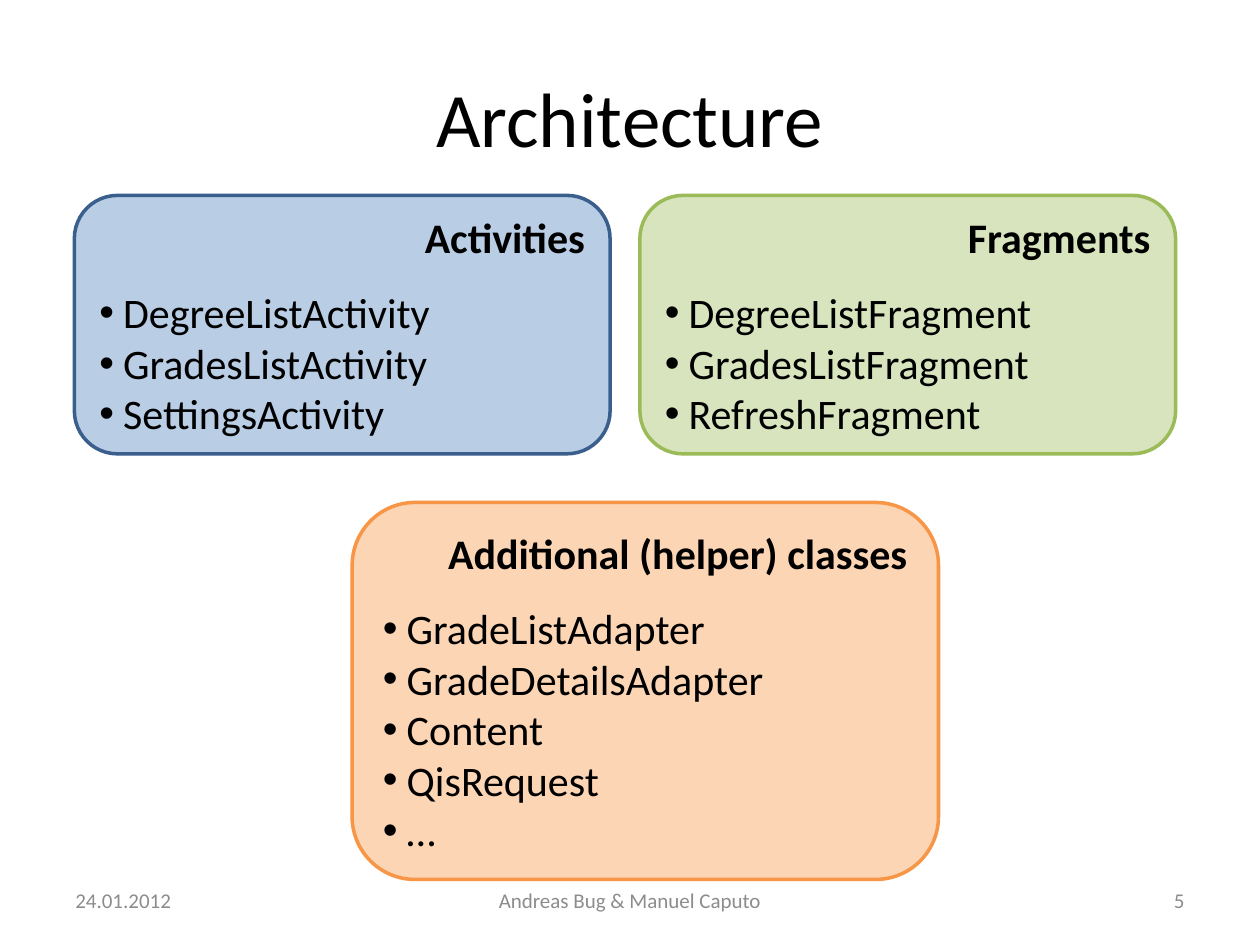
from dataclasses import dataclass

from lxml import etree
from pptx import Presentation
from pptx.dml.color import RGBColor
from pptx.enum.shapes import MSO_SHAPE
from pptx.enum.text import MSO_ANCHOR, PP_ALIGN
from pptx.oxml.ns import qn
from pptx.util import Cm, Pt

ROUNDED = MSO_SHAPE.ROUNDED_RECTANGLE
MIDDLE = MSO_ANCHOR.MIDDLE
LEFT, CENTER, RIGHT = PP_ALIGN.LEFT, PP_ALIGN.CENTER, PP_ALIGN.RIGHT


@dataclass(frozen=True)
class Theme:
    font: str = "Calibri"
    bullet_font: str = "Arial"
    text: str = "000000"
    muted: str = "8C8C8C"
    blue: tuple[str, str] = ("B9CDE5", "3A5F8C")
    green: tuple[str, str] = ("D7E4BD", "9BBB59")
    orange: tuple[str, str] = ("FCD5B5", "F79646")
    title_size: int = 44
    body_size: int = 24
    footer_size: int = 12
    heading_gap: float = 14.5
    line_width: int = 2


@dataclass(frozen=True)
class Area:
    left: float
    top: float
    width: float
    height: float

    def lengths(self) -> tuple:
        return Cm(self.left), Cm(self.top), Cm(self.width), Cm(self.height)


@dataclass(frozen=True)
class ClassGroup:
    heading: str
    classes: tuple[str, ...]
    area: Area
    colors: tuple[str, str]


@dataclass(frozen=True)
class FooterItem:
    text: str
    left: float
    width: float
    align: PP_ALIGN


THEME = Theme()
TITLE_AREA = Area(1.27, 0.76, 22.86, 3.18)
BULLET_INDENT = Cm(0.48)
FOOTER_TOP, FOOTER_HEIGHT = 17.65, 1.01
GROUP_TOP, GROUP_WIDTH, GROUP_HEIGHT = 3.94, 10.8, 5.21

GROUPS = (
    ClassGroup(
        "Activities",
        ("DegreeListActivity", "GradesListActivity", "SettingsActivity"),
        Area(1.5, GROUP_TOP, GROUP_WIDTH, GROUP_HEIGHT),
        THEME.blue,
    ),
    ClassGroup(
        "Fragments",
        ("DegreeListFragment", "GradesListFragment", "RefreshFragment"),
        Area(12.9, GROUP_TOP, GROUP_WIDTH, GROUP_HEIGHT),
        THEME.green,
    ),
    ClassGroup(
        "Additional (helper) classes",
        ("GradeListAdapter", "GradeDetailsAdapter", "Content", "QisRequest", "…"),
        Area(7.1, 10.13, 11.82, 7.6),
        THEME.orange,
    ),
)

FOOTER = (
    FooterItem("24.01.2012", 1.27, 5.93, LEFT),
    FooterItem("Andreas Bug & Manuel Caputo", 8.68, 8.04, CENTER),
    FooterItem("5", 18.2, 5.93, RIGHT),
)


def write(para, text: str, *, size: int, color: str = THEME.text,
          bold: bool = False, align: PP_ALIGN = LEFT, after: float = 0) -> None:
    para.alignment = align
    para.space_before = Pt(0)
    para.space_after = Pt(after)
    span = para.add_run()
    span.text = text
    span.font.name = THEME.font
    span.font.size = Pt(size)
    span.font.bold = bold
    span.font.color.rgb = RGBColor.from_string(color)


def add_bullet(para) -> None:
    properties = para._p.get_or_add_pPr()
    properties.set("marL", str(BULLET_INDENT))
    properties.set("indent", str(-BULLET_INDENT))
    etree.SubElement(properties, qn("a:buFont"), typeface=THEME.bullet_font)
    etree.SubElement(properties, qn("a:buChar"), char="•")


def set_title(slide, text: str) -> None:
    title = slide.shapes.title
    title.left, title.top, title.width, title.height = TITLE_AREA.lengths()
    title.text_frame.vertical_anchor = MIDDLE
    write(title.text_frame.paragraphs[0], text, size=THEME.title_size, align=CENTER)


def draw_group(slide, group: ClassGroup) -> None:
    fill, line = group.colors
    box = slide.shapes.add_shape(ROUNDED, *group.area.lengths())
    box.shadow.inherit = False
    box.fill.solid()
    box.fill.fore_color.rgb = RGBColor.from_string(fill)
    box.line.color.rgb = RGBColor.from_string(line)
    box.line.width = Pt(THEME.line_width)
    frame = box.text_frame
    frame.word_wrap = True
    frame.vertical_anchor = MIDDLE
    write(frame.paragraphs[0], group.heading, size=THEME.body_size,
          bold=True, align=RIGHT, after=THEME.heading_gap)
    for name in group.classes:
        para = frame.add_paragraph()
        write(para, name, size=THEME.body_size)
        add_bullet(para)


def draw_footer_item(slide, item: FooterItem) -> None:
    area = Area(item.left, FOOTER_TOP, item.width, FOOTER_HEIGHT)
    box = slide.shapes.add_textbox(*area.lengths())
    frame = box.text_frame
    frame.word_wrap = True
    frame.vertical_anchor = MIDDLE
    write(frame.paragraphs[0], item.text, size=THEME.footer_size,
          color=THEME.muted, align=item.align)


def main() -> None:
    deck = Presentation()
    deck.slide_width, deck.slide_height = Cm(25.4), Cm(19.05)
    slide = deck.slides.add_slide(deck.slide_layouts.get_by_name("Title Only"))
    set_title(slide, "Architecture")
    for item in FOOTER:
        draw_footer_item(slide, item)
    for group in GROUPS:
        draw_group(slide, group)
    deck.save("out.pptx")


if __name__ == "__main__":
    main()
